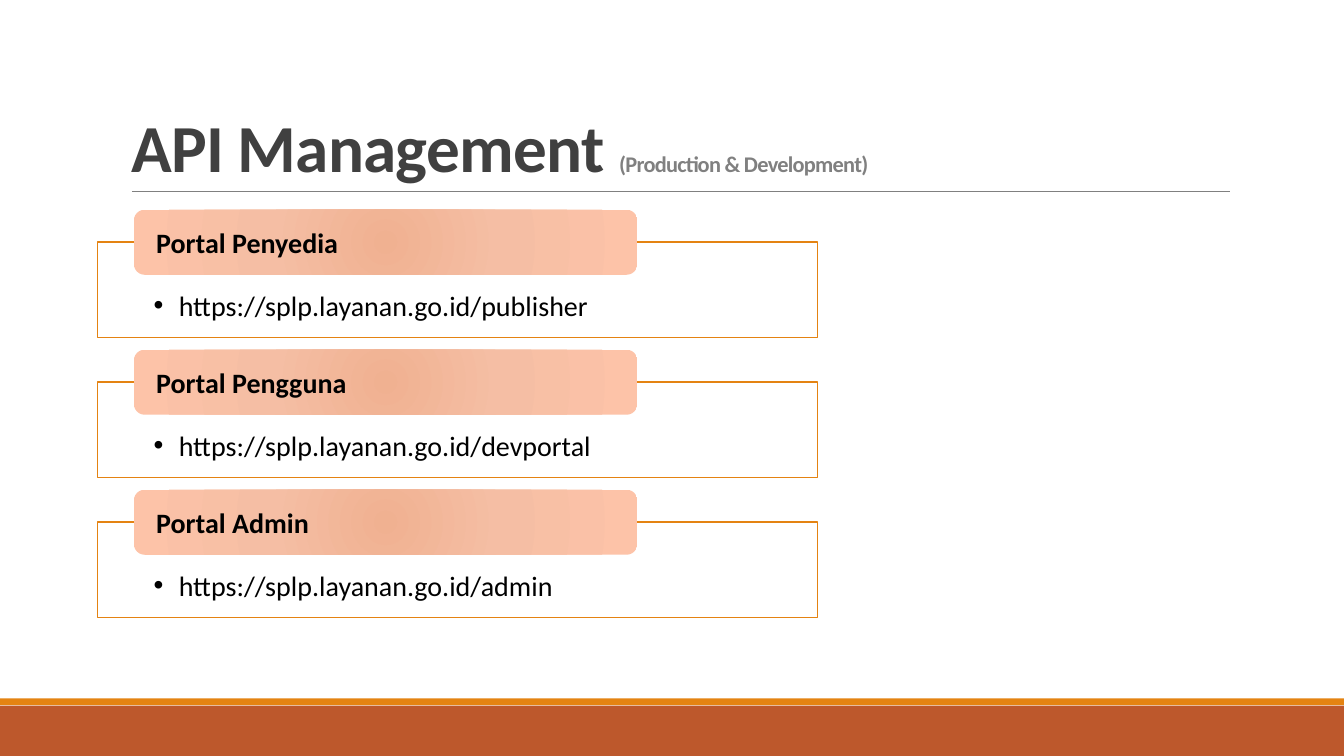
from dataclasses import dataclass

from lxml import etree
from pptx import Presentation
from pptx.dml.color import RGBColor
from pptx.enum.shapes import MSO_CONNECTOR, MSO_SHAPE
from pptx.enum.text import MSO_ANCHOR, MSO_AUTO_SIZE, PP_ALIGN
from pptx.oxml import parse_xml
from pptx.oxml.ns import nsdecls, qn
from pptx.util import Pt

RECTANGLE, ROUNDED = MSO_SHAPE.RECTANGLE, MSO_SHAPE.ROUNDED_RECTANGLE
STRAIGHT = MSO_CONNECTOR.STRAIGHT
TOP, MIDDLE, BOTTOM = MSO_ANCHOR.TOP, MSO_ANCHOR.MIDDLE, MSO_ANCHOR.BOTTOM
LEFT = PP_ALIGN.LEFT
NO_AUTOFIT = MSO_AUTO_SIZE.NONE


@dataclass(frozen=True)
class Theme:
    font: str = "Calibri"
    title_size: int = 48
    subtitle_size: int = 16
    text_size: int = 20
    title: str = "404040"
    muted: str = "808080"
    text: str = "000000"
    white: str = "FFFFFF"
    orange: str = "E48312"
    rust: str = "BD582C"
    label_stops: tuple = ((0, "F0B191"), (45, "F5BEA4"), (100, "FDC3A8"))


THEME = Theme()
SLIDE_WIDTH, SLIDE_HEIGHT = 960, 540
PORTAL_PITCH = 100
PORTALS = [
    ("Portal Penyedia", "https://splp.layanan.go.id/publisher"),
    ("Portal Pengguna", "https://splp.layanan.go.id/devportal"),
    ("Portal Admin", "https://splp.layanan.go.id/admin"),
]


def apply_format(target, values):
    for name, value in values.items():
        setattr(target, name, value)


def add_run(paragraph, text, size, color, bold=False):
    run = paragraph.add_run()
    run.text = text
    apply_format(run.font, {"name": THEME.font, "size": Pt(size), "bold": bold})
    run.font.color.rgb = RGBColor.from_string(color)
    return run


def add_block(slide, kind, bounds, fill, line=None):
    shape = slide.shapes.add_shape(kind, *map(Pt, bounds))
    shape.shadow.inherit = False
    shape.fill.solid()
    shape.fill.fore_color.rgb = RGBColor.from_string(fill)
    if line:
        shape.line.color.rgb = RGBColor.from_string(line)
        shape.line.width = Pt(1)
    else:
        shape.line.fill.background()
    return shape


def format_frame(shape, anchor, insets):
    left, top, right, bottom = map(Pt, insets)
    apply_format(shape.text_frame, {
        "word_wrap": True, "auto_size": NO_AUTOFIT, "vertical_anchor": anchor,
        "margin_left": left, "margin_top": top,
        "margin_right": right, "margin_bottom": bottom,
    })
    paragraph = shape.text_frame.paragraphs[0]
    paragraph.alignment = LEFT
    return paragraph


def set_opacity(shape, percent):
    color = shape.fill._xPr.find(qn("a:solidFill"))[0]
    etree.SubElement(color, qn("a:alpha")).set("val", str(percent * 1000))


def set_radial_gradient(shape, stops):
    stop_xml = "".join(
        f'<a:gs pos="{position * 1000}"><a:srgbClr val="{color}"/></a:gs>'
        for position, color in stops)
    gradient = parse_xml(
        f'<a:gradFill {nsdecls("a")} rotWithShape="1"><a:gsLst>{stop_xml}</a:gsLst>'
        '<a:path path="circle"><a:fillToRect l="100000" t="100000" r="100000" b="100000"/>'
        '</a:path></a:gradFill>')
    properties = shape._element.spPr
    properties.replace(properties.find(qn("a:solidFill")), gradient)


def set_bullet(paragraph, indent):
    properties = paragraph._p.get_or_add_pPr()
    properties.set("marL", str(Pt(indent)))
    properties.set("indent", str(-Pt(indent)))
    etree.SubElement(properties, qn("a:buFont")).set("typeface", "Arial")
    etree.SubElement(properties, qn("a:buChar")).set("char", "•")


def add_rule(slide, left, right, y):
    rule = slide.shapes.add_connector(STRAIGHT, Pt(left), Pt(y), Pt(right), Pt(y))
    rule.line.color.rgb = RGBColor.from_string(THEME.muted)
    rule.line.width = Pt(0.5)
    etree.SubElement(rule._element.spPr, qn("a:effectLst"))


def fill_title(slide):
    title = slide.shapes.title
    apply_format(title, {"left": Pt(86.4), "top": Pt(22.5),
                         "width": Pt(792), "height": Pt(114.3)})
    paragraph = format_frame(title, BOTTOM, (7.2, 3.6, 7.2, 3.6))
    paragraph.line_spacing = 0.85
    for text, size, color in (
            ("API Management ", THEME.title_size, THEME.title),
            ("(Production & Development)", THEME.subtitle_size, THEME.muted)):
        run = add_run(paragraph, text, size, color, bold=True)
        run._r.get_or_add_rPr().set("spc", "-50")


def add_portal(slide, top, name, address):
    # Outlined box with the address
    box = add_block(slide, RECTANGLE, (69.8, top + 23, 514, 68.2), THEME.white, THEME.orange)
    set_opacity(box, 90)
    paragraph = format_frame(box, TOP, (39.9, 33.3, 39.9, 11.4))
    set_bullet(paragraph, 18)
    add_run(paragraph, address, THEME.text_size, THEME.text)

    # Rounded label over the top edge
    label = add_block(slide, ROUNDED, (95.6, top, 359.7, 46.5), THEME.white)
    set_radial_gradient(label, THEME.label_stops)
    paragraph = format_frame(label, MIDDLE, (13.6, 0, 13.6, 0))
    add_run(paragraph, name, THEME.text_size, THEME.text, bold=True)


def main():
    presentation = Presentation()
    presentation.slide_width, presentation.slide_height = Pt(SLIDE_WIDTH), Pt(SLIDE_HEIGHT)
    slide = presentation.slides.add_slide(presentation.slide_layouts[5])

    # Footer bands and title
    add_block(slide, RECTANGLE, (0, 504, SLIDE_WIDTH, 36), THEME.rust)
    add_block(slide, RECTANGLE, (0, 498.8, SLIDE_WIDTH, 4.8), THEME.orange)
    add_rule(slide, 94.2, 878.8, 136.8)
    fill_title(slide)

    # Portals
    for index, (name, address) in enumerate(PORTALS):
        add_portal(slide, 149.8 + index * PORTAL_PITCH, name, address)

    presentation.save("out.pptx")


if __name__ == "__main__":
    main()
